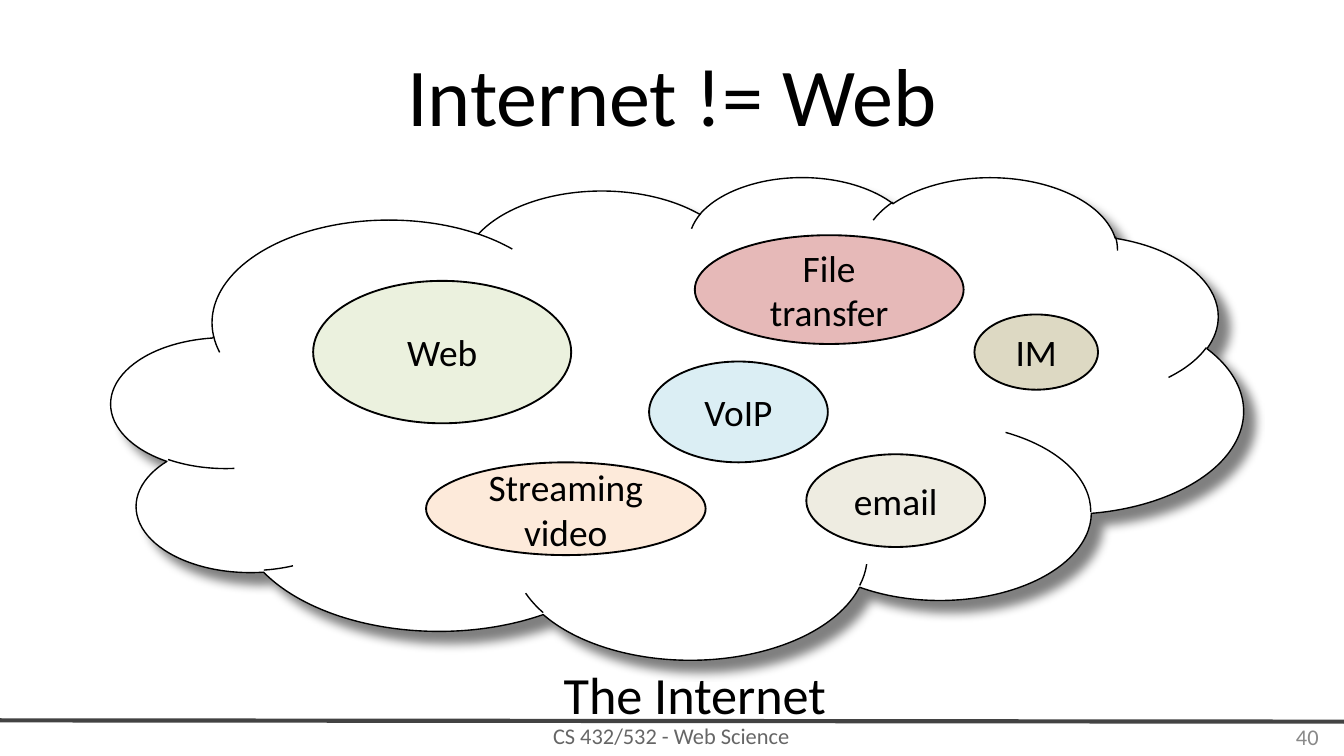
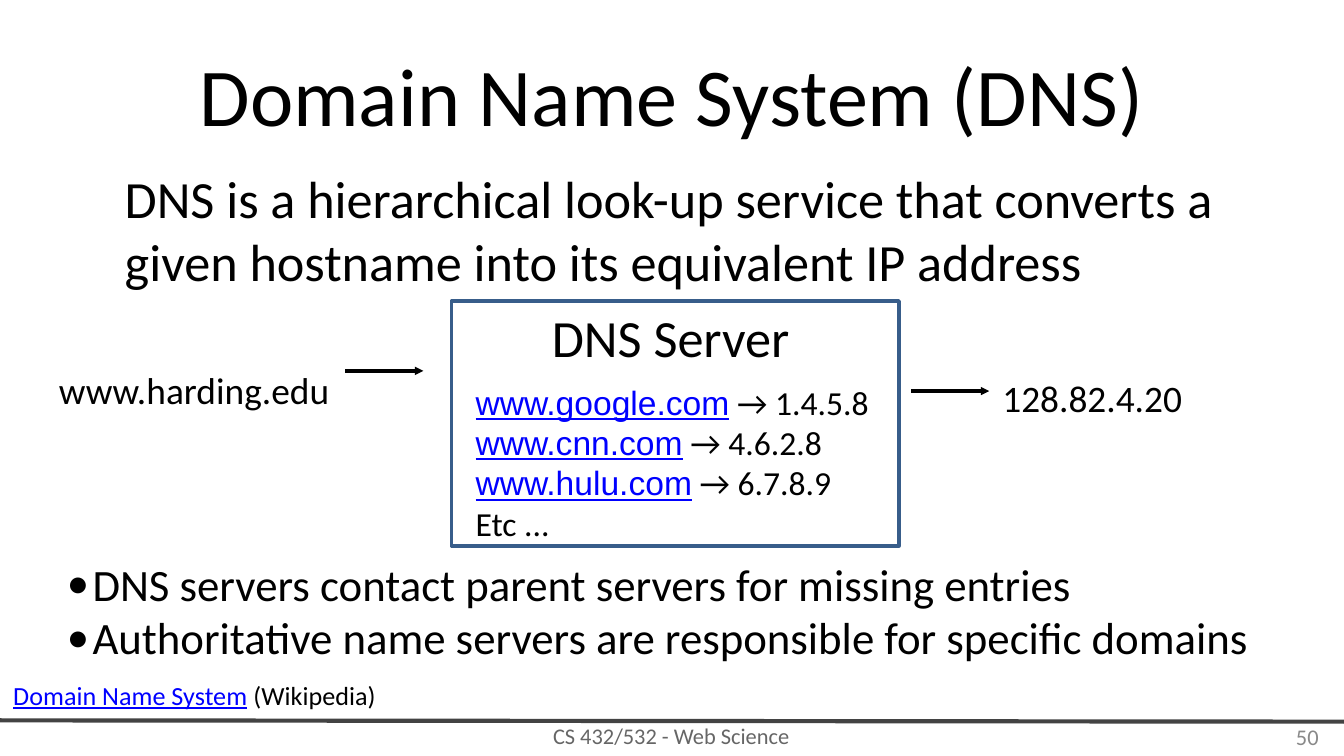
from lxml import etree
from pptx import Presentation
from pptx.dml.color import RGBColor
from pptx.enum.shapes import MSO_CONNECTOR, MSO_SHAPE
from pptx.enum.text import MSO_ANCHOR, PP_ALIGN
from pptx.oxml.ns import qn
from pptx.util import Inches, Pt

LEFT, CENTER, RIGHT = PP_ALIGN.LEFT, PP_ALIGN.CENTER, PP_ALIGN.RIGHT
TOP, MIDDLE = MSO_ANCHOR.TOP, MSO_ANCHOR.MIDDLE
OVAL, CLOUD, RECT = MSO_SHAPE.OVAL, MSO_SHAPE.CLOUD, MSO_SHAPE.RECTANGLE
STRAIGHT = MSO_CONNECTOR.STRAIGHT

BLACK = RGBColor(0x00, 0x00, 0x00)
WHITE = RGBColor(0xFF, 0xFF, 0xFF)
RULE = RGBColor(0x43, 0x43, 0x43)
FOOT = RGBColor(0x66, 0x66, 0x66)
PAGE = RGBColor(0x89, 0x89, 0x89)
LINK = RGBColor(0x00, 0x00, 0xFF)
FRAME = RGBColor(0x38, 0x5D, 0x8A)
GREEN = RGBColor(0xEB, 0xF1, 0xDE)
BLUE = RGBColor(0xDB, 0xEE, 0xF4)
CREAM = RGBColor(0xEE, 0xEC, 0xE1)
TAN = RGBColor(0xDD, 0xD9, 0xC3)
PEACH = RGBColor(0xFD, 0xEA, 0xDA)
ROSE = RGBColor(0xE6, 0xB9, 0xB8)


def write(shape, lines, size, align=LEFT, anchor=TOP, color=BLACK, face="Calibri", bullet=False):
    """Fill a shape with lines; a (link, rest) pair is a line that opens with a link in face."""
    frame = shape.text_frame
    frame.word_wrap = True
    frame.vertical_anchor = anchor
    for i, line in enumerate(lines):
        para = frame.paragraphs[0] if i == 0 else frame.add_paragraph()
        para.alignment = align
        if bullet:
            props = para._p.get_or_add_pPr()
            props.set("marL", str(Inches(0.19)))
            props.set("indent", str(-Inches(0.19)))
            etree.SubElement(props, qn("a:buFont"), typeface="Calibri")
            etree.SubElement(props, qn("a:buChar"), char="•")
        para.font.size = Pt(size)
        if isinstance(line, str):
            para.add_run().text = line
            para.font.name = "Calibri"
            para.font.color.rgb = color
            continue
        for part, font, ink in zip(line, (face, "Calibri"), (LINK, color)):
            run = para.add_run()
            run.text = part
            run.font.name = font
            run.font.color.rgb = ink
            run.font.underline = ink == LINK


def rule(slide, x1, y1, x2, y2, color, head=False):
    """Draw a line, with an arrowhead at its end if head is set."""
    line = slide.shapes.add_connector(STRAIGHT, Inches(x1), Inches(y1), Inches(x2), Inches(y2))
    line.line.color.rgb = color
    line.line.width = Pt(2.25)
    if head:
        etree.SubElement(line.line._get_or_add_ln(), qn("a:tailEnd"),
                         type="triangle", w="sm", len="sm")
    etree.SubElement(line._element.spPr, qn("a:effectLst"))


deck = Presentation()
deck.slide_width = Inches(10)
deck.slide_height = deck.slide_width * 9 // 16

# Title, rule and footer of every slide
slides = []
for name, page in [("Internet != Web", "40"), ("Domain Name System (DNS)", "50")]:
    slide = deck.slides.add_slide(deck.slide_layouts[5])
    slides.append(slide)
    rule(slide, 0, 5.36, 10, 5.37, RULE)
    title = slide.shapes.title
    title.left, title.top, title.width, title.height = map(Inches, (0.5, 0.23, 9, 0.94))
    write(title, [name], 44, CENTER, MIDDLE)
    foot = slide.shapes.add_textbox(*map(Inches, (1.82, 5.34, 6.35, 0.27)))
    write(foot, ["CS 432/532 - Web Science"], 12, CENTER, MIDDLE, FOOT)
    num = slide.shapes.add_textbox(*map(Inches, (7.58, 5.33, 2.33, 0.3)))
    write(num, [page], 12, RIGHT, MIDDLE, PAGE)
net, dns = slides

# Internet: services inside a cloud
cloud = net.shapes.add_shape(CLOUD, *map(Inches, (0.83, 1.31, 8.42, 3.59)))
cloud.fill.solid()
cloud.fill.fore_color.rgb = WHITE
cloud.line.color.rgb = BLACK
cloud.line.width = Pt(0.75)
effect = etree.SubElement(cloud._element.spPr, qn("a:effectLst"))
shade = etree.SubElement(effect, qn("a:outerShdw"), blurRad=str(Pt(5)), dist=str(Pt(8.5)),
                         dir=str(45 * 60000), algn="ctr", rotWithShape="0")
etree.SubElement(shade, qn("a:srgbClr"), val="808080")

for label, box, color in [
    ("Web", (2.33, 2.09, 1.92, 1.06), GREEN),
    ("VoIP", (4.83, 2.69, 1.33, 0.75), BLUE),
    ("email", (6, 3.38, 1.33, 0.69), CREAM),
    ("IM", (7.25, 2.34, 0.92, 0.56), TAN),
    ("Streaming video", (3.17, 3.44, 2.08, 0.69), PEACH),
    ("File transfer", (5.17, 1.75, 2, 0.81), ROSE),
]:
    oval = net.shapes.add_shape(OVAL, *map(Inches, box))
    oval.shadow.inherit = False
    oval.fill.solid()
    oval.fill.fore_color.rgb = color
    oval.line.color.rgb = BLACK
    oval.line.width = Pt(1)
    write(oval, [label], 20, CENTER, MIDDLE)

name = net.shapes.add_textbox(*map(Inches, (3.17, 4.88, 4, 0.43)))
write(name, ["The Internet"], 28, CENTER)

# DNS: host name in, address out
server = dns.shapes.add_shape(RECT, *map(Inches, (3.36, 2.24, 3.33, 1.82)))
server.shadow.inherit = False
server.fill.background()
server.line.color.rgb = FRAME
server.line.width = Pt(2)

for lines, box, size, align in [
    (["DNS is a hierarchical look-up service that converts a given hostname "
      "into its equivalent IP address"], (0.83, 1.19, 8.33, 0.78), 28, LEFT),
    (["DNS Server"], (3.53, 2.22, 2.92, 0.43), 28, CENTER),
    (["www.harding.edu"], (0.34, 2.68, 2.44, 0.33), 20, LEFT),
    (["128.82.4.20"], (7.36, 2.74, 1.75, 0.33), 20, LEFT),
]:
    write(dns.shapes.add_textbox(*map(Inches, box)), lines, size, align)

hosts = dns.shapes.add_textbox(*map(Inches, (3.44, 2.79, 3.17, 0.98)))
write(hosts, [("www.google.com", " → 1.4.5.8"), ("www.cnn.com", " → 4.6.2.8"),
              ("www.hulu.com", " → 6.7.8.9"), "Etc ..."], 18, face="Arial")

for x, y in [(2.57, 2.76), (6.78, 2.91)]:
    rule(dns, x, y, x + 0.58, y, BLACK, head=True)

notes = dns.shapes.add_textbox(*map(Inches, (0.4, 4.09, 9.45, 0.78)))
write(notes, ["DNS servers contact parent servers for missing entries",
              "Authoritative name servers are responsible for specific domains"], 24, bullet=True)

source = dns.shapes.add_textbox(*map(Inches, (0, 5.02, 7.19, 0.3)))
write(source, [("Domain Name System", " (Wikipedia)")], 14, anchor=MIDDLE)

deck.save("out.pptx")
